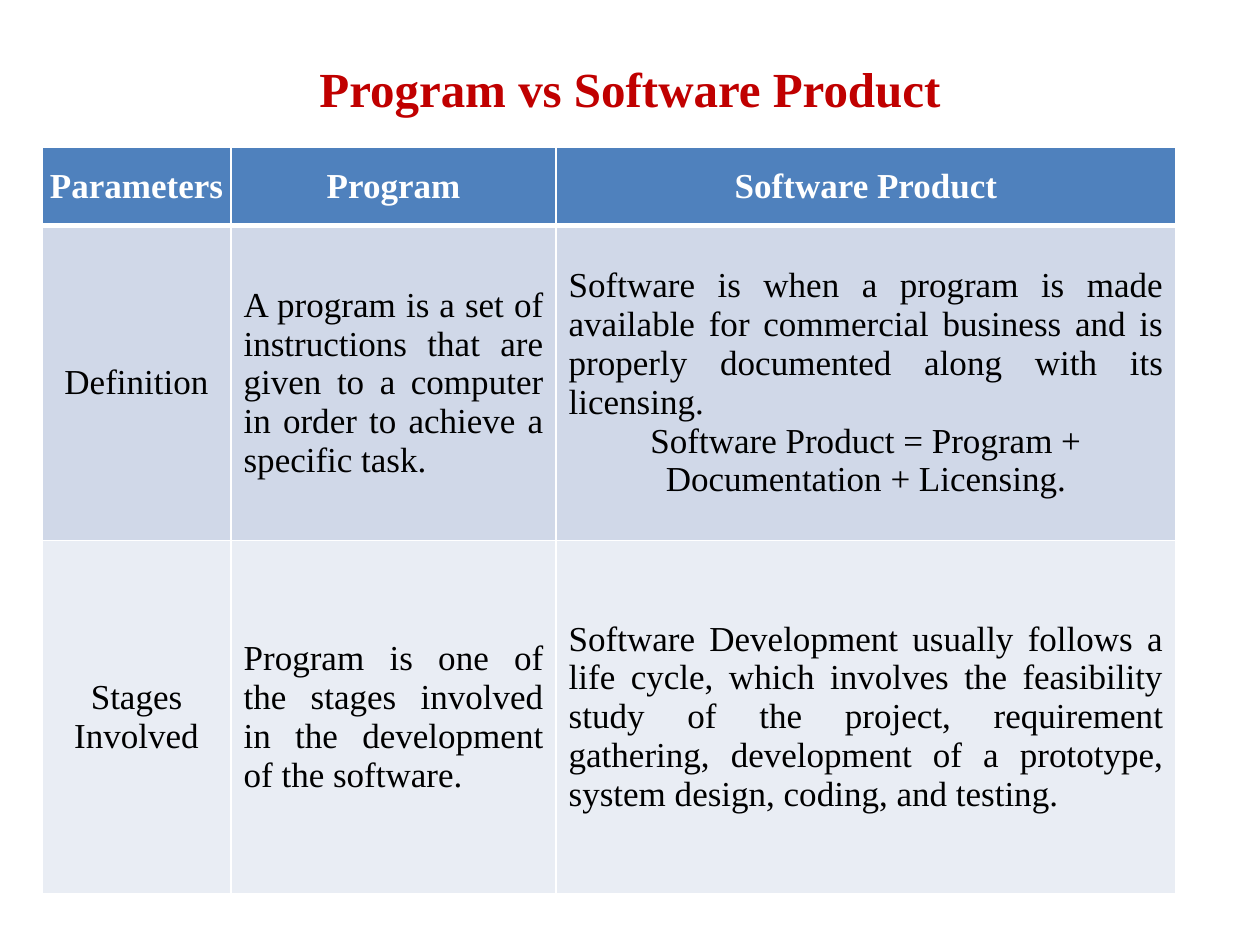
import pptx
import pptx.dml.color
import pptx.enum.text
import pptx.oxml
import pptx.oxml.ns
import pptx.util

Pt = pptx.util.Pt
Color = pptx.dml.color.RGBColor
Align = pptx.enum.text.PP_ALIGN
Anchor = pptx.enum.text.MSO_ANCHOR

RED = Color(0xC0, 0x00, 0x00)
WHITE = Color(0xFF, 0xFF, 0xFF)
BLACK = Color(0x00, 0x00, 0x00)
BLUE = Color(0x4F, 0x81, 0xBD)
MID = Color(0xD0, 0xD8, 0xE8)
PALE = Color(0xE9, 0xED, 0xF4)

WIDTHS = (108, 185.76, 354.24)
HEIGHTS = (44.64, 180, 201.6)
FILLS = (BLUE, MID, PALE)
ROWS = (
    (("Parameters",), ("Program",), ("Software Product",)),
    (
        ("Definition",),
        ("A program is a set of instructions that are given to a computer "
         "in order to achieve a specific task.",),
        ("Software is when a program is made available for commercial "
         "business and is properly documented along with its licensing.",
         "Software Product = Program + Documentation + Licensing."),
    ),
    (
        ("Stages Involved",),
        ("Program is one of the stages involved in the development of the "
         "software.",),
        ("Software Development usually follows a life cycle, which involves "
         "the feasibility study of the project, requirement gathering, "
         "development of a prototype, system design, coding, and testing.",),
    ),
)


class Deck:
    """Draw titles and tables on a slide in one shared style."""

    def __init__(self, slide, font="Times New Roman"):
        self.slide = slide
        self.font = font

    def text(self, para, words, size, color, bold, align):
        para.alignment = align
        run = para.add_run()
        run.text = words
        run.font.name = self.font
        run.font.size = Pt(size)
        run.font.bold = bold
        run.font.color.rgb = color

    def title(self, words, left, top, width, height):
        box = self.slide.shapes.add_textbox(Pt(left), Pt(top), Pt(width), Pt(height))
        frame = box.text_frame
        frame.word_wrap = True
        frame.vertical_anchor = Anchor.MIDDLE
        frame.margin_bottom = Pt(36)
        self.text(frame.paragraphs[0], words, 28, RED, True, Align.CENTER)

    def border(self, cell, side, width):
        props = cell._tc.get_or_add_tcPr()
        props.append(pptx.oxml.parse_xml(
            f'<a:ln{side} {pptx.oxml.ns.nsdecls("a")} w="{Pt(width)}">'
            f'<a:solidFill><a:srgbClr val="{WHITE}"/></a:solidFill></a:ln{side}>'))

    def cell(self, cell, texts, row, col):
        head = row == 0
        side = 2.88 if head and col == 0 else 7.2
        cell.margin_left = cell.margin_right = Pt(side)
        cell.margin_top = cell.margin_bottom = Pt(7.2 if head else 10.8)
        cell.vertical_anchor = Anchor.MIDDLE
        widths = {"L": 1, "R": 1, "T": 3 if row == 1 else 1, "B": 3 if head else 1}
        for edge, width in widths.items():
            self.border(cell, edge, width)
        cell.fill.solid()
        cell.fill.fore_color.rgb = FILLS[row]
        frame = cell.text_frame
        for i, words in enumerate(texts):
            para = frame.add_paragraph() if i else frame.paragraphs[0]
            center = head or col == 0 or i > 0
            align = Align.CENTER if center else Align.JUSTIFY
            self.text(para, words, 20, WHITE if head else BLACK, head, align)

    def table(self, rows, left, top):
        shape = self.slide.shapes.add_table(
            len(rows), len(WIDTHS), Pt(left), Pt(top),
            Pt(sum(WIDTHS)), Pt(sum(HEIGHTS)))
        grid = shape.table
        for col, width in zip(grid.columns, WIDTHS):
            col.width = Pt(width)
        for r, (row, height) in enumerate(zip(rows, HEIGHTS)):
            grid.rows[r].height = Pt(height)
            for c, texts in enumerate(row):
                self.cell(grid.cell(r, c), texts, r, c)


def main():
    show = pptx.Presentation()
    show.slide_width = Pt(720)
    show.slide_height = Pt(540)
    deck = Deck(show.slides.add_slide(show.slide_layouts[6]))
    deck.title("Program vs Software Product", 36, 21.6, 648, 90)
    deck.table(ROWS, 24, 84.24)
    show.save("out.pptx")


if __name__ == "__main__":
    main()
